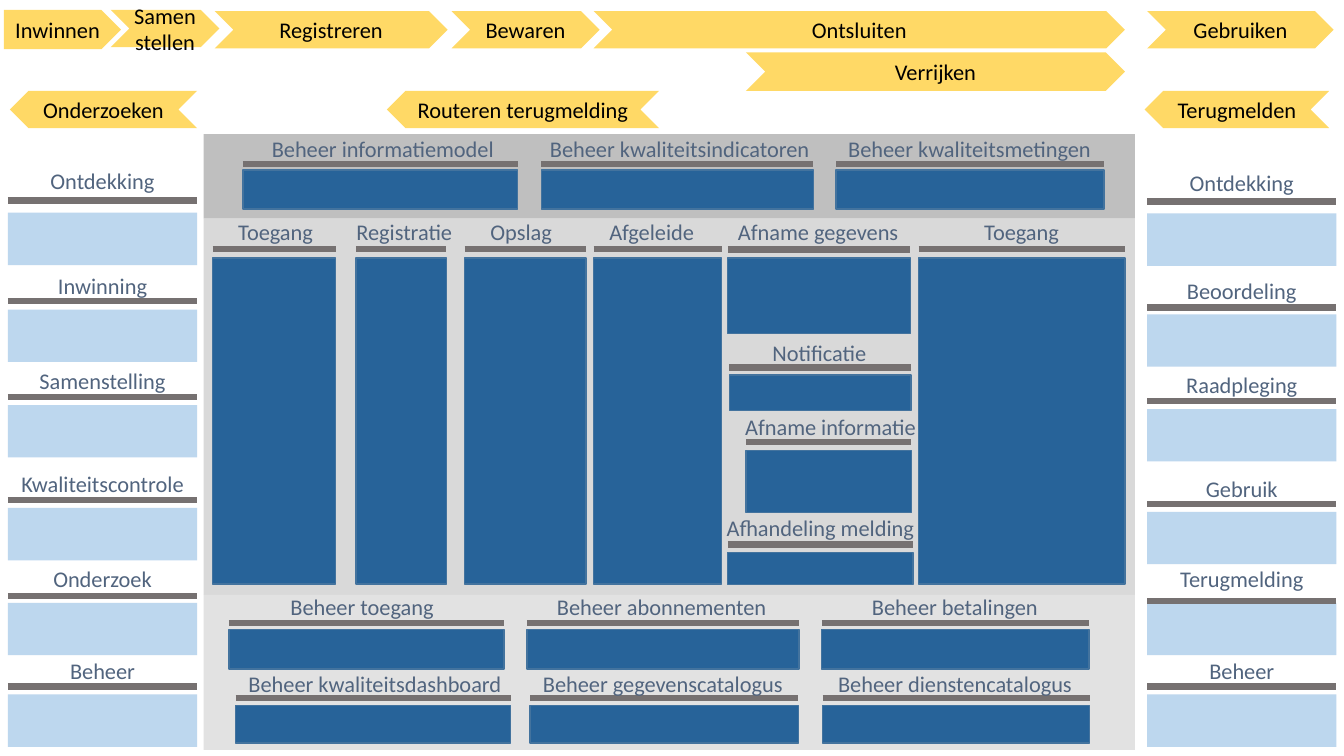
from typing import NamedTuple

from lxml.etree import SubElement
from pptx import Presentation
from pptx.dml.color import RGBColor
from pptx.enum.shapes import MSO_CONNECTOR, MSO_SHAPE
from pptx.enum.text import MSO_ANCHOR, PP_ALIGN
from pptx.oxml.ns import qn
from pptx.util import Cm, Pt

BLACK, SLATE, GREY = "000000", "51647E", "767171"
YELLOW, BLUE, BLUE_EDGE, LIGHT_BLUE = "FFD966", "276399", "43739E", "BDD7EE"
LABEL_H = 0.94
SIDE_W, SIDE_H = 4.77, 1.32


class Band(NamedTuple):
    y: float
    h: float
    fill: str


class Block(NamedTuple):
    """A label, a bar below it and a box of the same width below the bar."""
    label: str
    label_x: float
    label_w: float
    x: float
    w: float
    label_y: float
    bar_y: float
    box_y: float
    box_h: float
    fill: str = BLUE
    edge: str | None = BLUE_EDGE


class Arrow(NamedTuple):
    text: str
    x: float
    y: float
    w: float
    h: float = 0.94
    kind: MSO_SHAPE = MSO_SHAPE.CHEVRON
    back: bool = False
    inset: float = 0.25


BANDS = [Band(3.38, 2.13, "BFBFBF"), Band(5.51, 9.48, "D9D9D9"), Band(14.99, 3.91, "E2E2E2")]

TOP_ROW = (3.29, 4.13, 4.28, 0.99)
COLUMN = (5.38, 6.27, 6.5, 8.22)
ACCESS_ROW = (14.83, 15.7, 15.87, 0.99)
CATALOGUE_ROW = (16.76, 17.59, 17.78, 0.94)

CENTRE_BLOCKS = [
    Block("Beheer informatiemodel", 6.55, 6.2, 6.12, 6.93, *TOP_ROW),
    Block("Beheer kwaliteitsindicatoren", 13.56, 7.14, 13.64, 6.86, *TOP_ROW),
    Block("Beheer kwaliteitsmetingen", 21.08, 6.71, 21.07, 6.75, *TOP_ROW),
    Block("Toegang", 5.74, 2.41, 5.36, 3.1, *COLUMN),
    Block("Registratie", 8.69, 3, 8.97, 2.28, *COLUMN),
    Block("Opslag", 11.27, 3.73, 11.71, 3.06, *COLUMN),
    Block("Afgeleide", 14.71, 3.43, 14.96, 3.23, *COLUMN),
    Block("Toegang", 24.54, 2.41, 23.15, 5.2, *COLUMN),
    Block("Afname gegevens", 18.26, 4.72, 18.34, 4.6, 5.38, 6.29, 6.5, 1.9),
    Block("Notificatie", 18.29, 4.72, 18.38, 4.58, 8.43, 9.26, 9.45, 0.89),
    Block("Afname informatie", 18.49, 4.88, 18.8, 4.17, 10.29, 11.13, 11.35, 1.57),
    Block("Afhandeling melding", 17.93, 5.49, 18.34, 4.67, 12.83, 13.72, 13.92, 0.81),
    Block("Beheer toegang", 7.04, 4.17, 5.77, 6.93, *ACCESS_ROW),
    Block("Beheer abonnementen", 13.74, 5.87, 13.28, 6.86, *ACCESS_ROW),
    Block("Beheer betalingen", 21.69, 4.75, 20.71, 6.74, *ACCESS_ROW),
    Block("Beheer kwaliteitsdashboard", 5.97, 6.96, 5.94, 6.93, *CATALOGUE_ROW),
    Block("Beheer gegevenscatalogus", 13.39, 6.63, 13.36, 6.76, *CATALOGUE_ROW),
    Block("Beheer dienstencatalogus", 20.83, 6.48, 20.73, 6.73, *CATALOGUE_ROW),
]

# Left edge of each side, then label, label top, bar and box top
SIDES = {
    0.2: [
        ("Ontdekking", 4.09, 5.05, 5.36),
        ("Inwinning", 6.73, 7.59, 7.8),
        ("Samenstelling", 9.12, 10.01, 10.21),
        ("Kwaliteitscontrole", 11.73, 12.6, 12.8),
        ("Onderzoek", 14.12, 15.01, 15.19),
        ("Beheer", 16.43, 17.3, 17.5),
    ],
    28.91: [
        ("Ontdekking", 4.14, 5.08, 5.38),
        ("Beoordeling", 6.86, 7.75, 7.92),
        ("Raadpleging", 9.22, 10.11, 10.31),
        ("Gebruik", 11.84, 12.7, 12.9),
        ("Terugmelding", 14.12, 15.14, 15.19),
        ("Beheer", 16.43, 17.3, 17.5),
    ],
}

ARROWS = [
    Arrow("Inwinnen", 0.1, 0.25, 2.95, 0.99, MSO_SHAPE.PENTAGON),
    Arrow("Registreren", 5.41, 0.28, 5.87, inset=0.1),
    Arrow("Samen stellen", 2.79, 0.25, 2.74, inset=0.1),
    Arrow("Bewaren", 11.38, 0.28, 3.73),
    Arrow("Gebruiken", 28.91, 0.28, 4.7),
    Arrow("Ontsluiten", 14.96, 0.28, 13.39, inset=0),
    Arrow("Verrijken", 18.8, 1.32, 9.55, 0.97),
    Arrow("Onderzoeken", 0.25, 2.29, 4.72, back=True, inset=0.1),
    Arrow("Terugmelden", 28.85, 2.29, 4.65, back=True),
    Arrow("Routeren terugmelding", 9.75, 2.29, 6.86, back=True),
]


def rgb(color: str) -> RGBColor:
    return RGBColor.from_string(color)


def add_filled(slide, kind: MSO_SHAPE, x: float, y: float, w: float, h: float,
               fill: str, edge: str | None = None):
    s = slide.shapes.add_shape(kind, Cm(x), Cm(y), Cm(w), Cm(h))
    s.shadow.inherit = False
    s.fill.solid()
    s.fill.fore_color.rgb = rgb(fill)
    if edge:
        s.line.color.rgb = rgb(edge)
        s.line.width = Pt(1)
    else:
        s.line.fill.background()
    return s


def set_text(tf, text: str, color: str) -> None:
    tf.text = text
    p = tf.paragraphs[0]
    p.alignment = PP_ALIGN.CENTER
    r = p.runs[0]
    r.font.name = "Calibri"
    r.font.size = Pt(16)
    r.font.color.rgb = rgb(color)


def add_bar(slide, x: float, y: float, w: float) -> None:
    bar = slide.shapes.add_connector(MSO_CONNECTOR.STRAIGHT, Cm(x), Cm(y), Cm(x + w), Cm(y))
    bar.line.color.rgb = rgb(GREY)
    bar.line.width = Pt(4.5)
    SubElement(bar.element.spPr, qn("a:effectLst"))


def add_block(slide, b: Block) -> None:
    add_filled(slide, MSO_SHAPE.RECTANGLE, b.x, b.box_y, b.w, b.box_h, b.fill, b.edge)
    add_bar(slide, b.x, b.bar_y, b.w)
    label = slide.shapes.add_textbox(Cm(b.label_x), Cm(b.label_y), Cm(b.label_w), Cm(LABEL_H))
    label.text_frame.word_wrap = False
    set_text(label.text_frame, b.label, SLATE)


def add_arrow(slide, a: Arrow) -> None:
    s = add_filled(slide, a.kind, a.x, a.y, a.w, a.h, YELLOW)
    if a.back:
        s.element.spPr.find(qn("a:xfrm")).set("flipH", "1")
    tf = s.text_frame
    tf.word_wrap = True
    tf.vertical_anchor = MSO_ANCHOR.MIDDLE
    tf.margin_left = tf.margin_right = Cm(a.inset)
    set_text(tf, a.text, BLACK)


def main() -> None:
    prs = Presentation()
    prs.slide_width, prs.slide_height = Cm(33.87), Cm(19.05)
    slide = prs.slides.add_slide(prs.slide_layouts[6])

    for band in BANDS:
        add_filled(slide, MSO_SHAPE.RECTANGLE, 5.13, band.y, 23.47, band.h, band.fill)
    for block in CENTRE_BLOCKS:
        add_block(slide, block)
    for x, rows in SIDES.items():
        for label, label_y, bar_y, box_y in rows:
            add_block(slide, Block(label, x, SIDE_W, x, SIDE_W, label_y, bar_y, box_y,
                                   SIDE_H, LIGHT_BLUE, None))
    for arrow in ARROWS:
        add_arrow(slide, arrow)

    prs.save("out.pptx")


if __name__ == "__main__":
    main()
